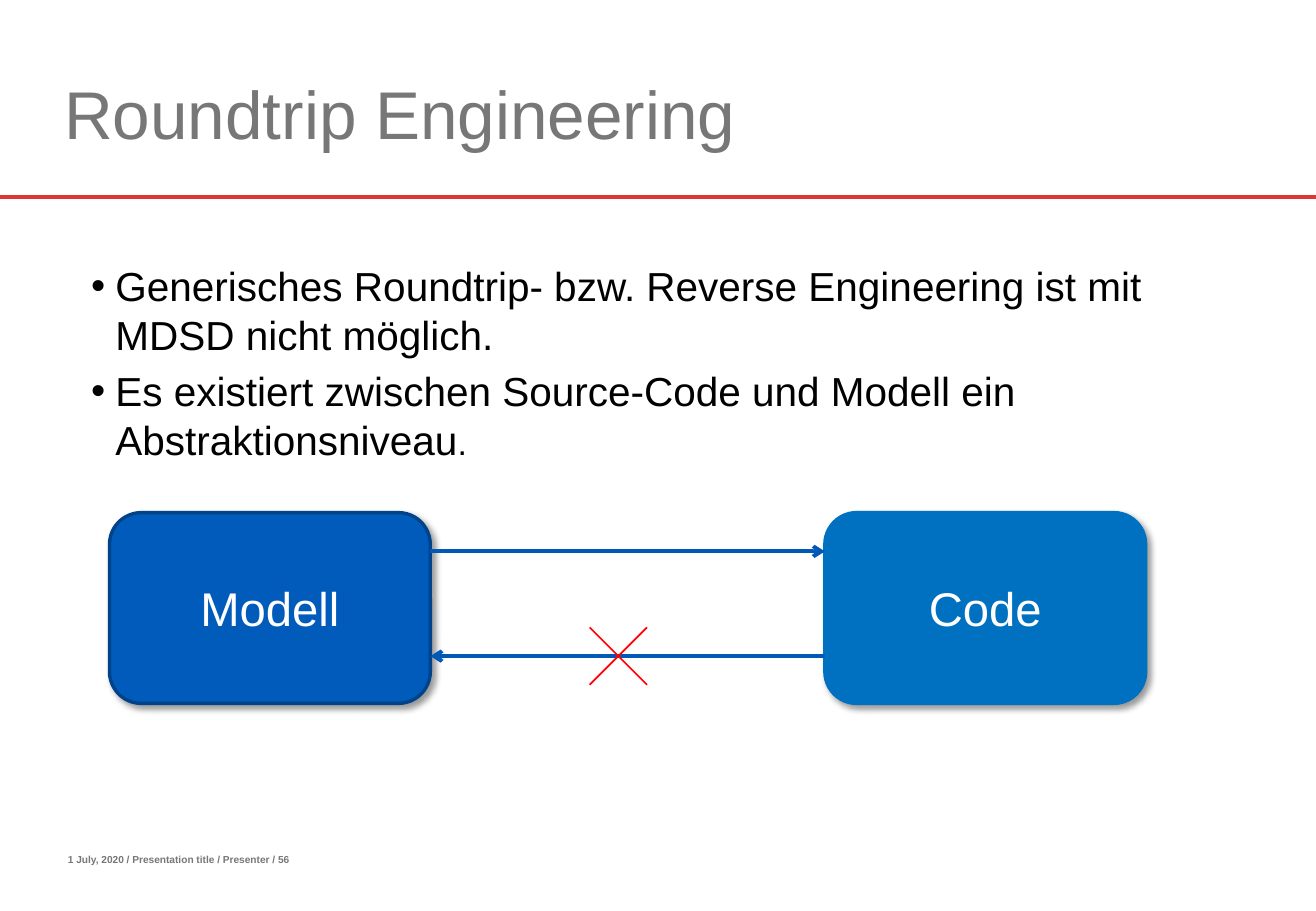
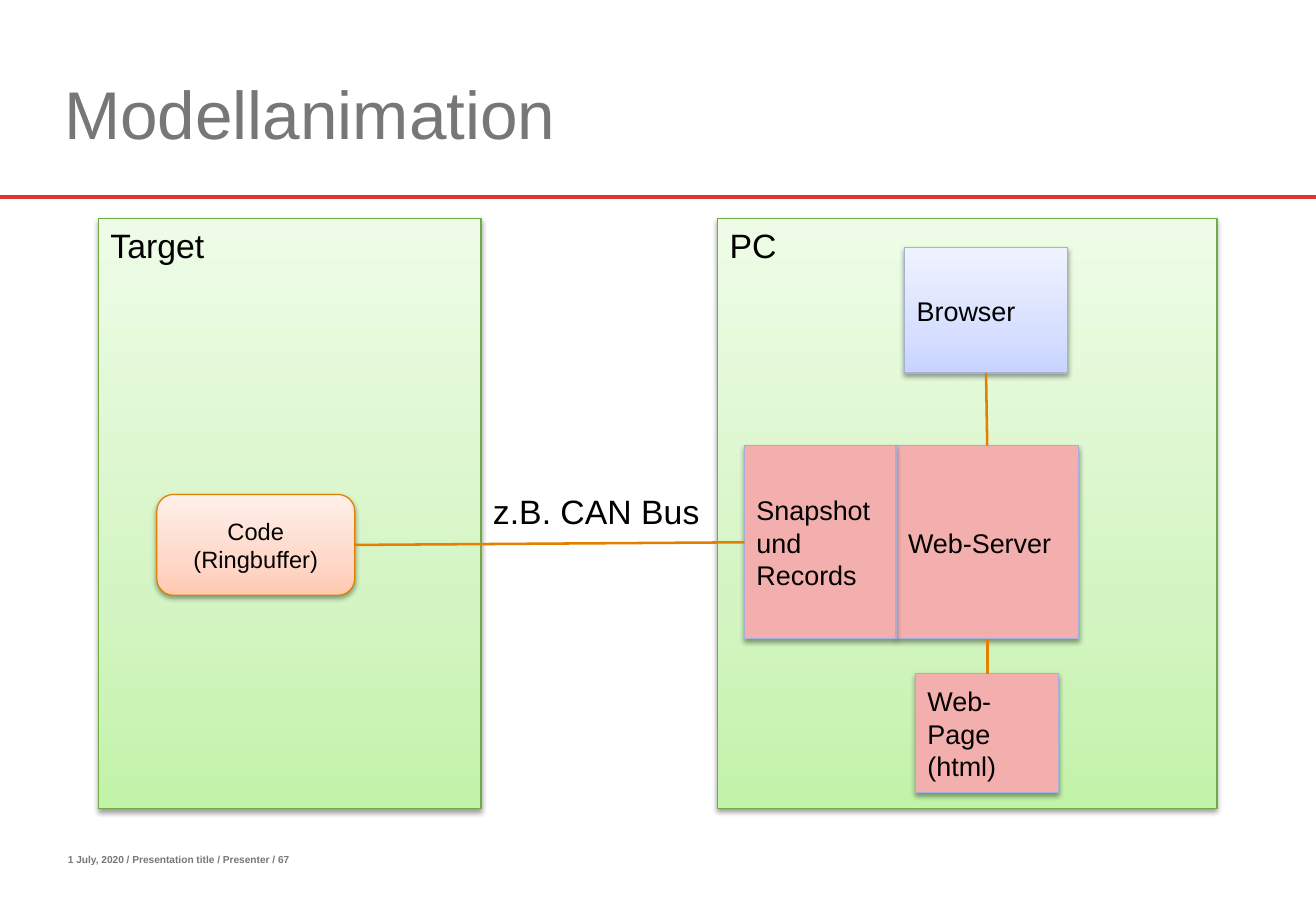
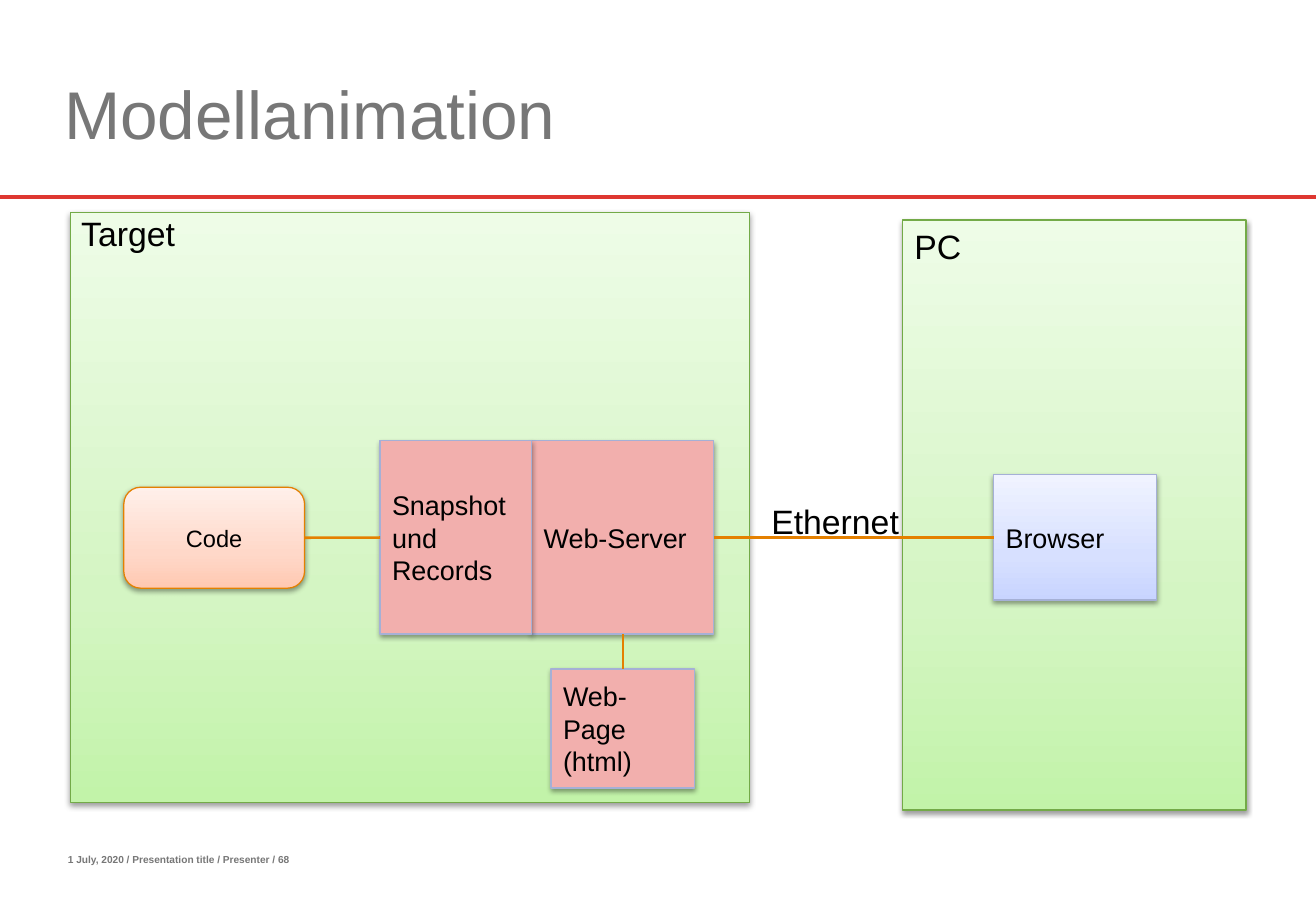
"""Build three slides on roundtrip engineering and model animation."""
from copy import deepcopy

from lxml.etree import SubElement
from pptx import Presentation
from pptx.dml.color import RGBColor
from pptx.enum.shapes import MSO_CONNECTOR, MSO_SHAPE
from pptx.enum.text import MSO_ANCHOR, MSO_AUTO_SIZE, PP_ALIGN
from pptx.oxml.ns import qn
from pptx.util import Cm, Pt

FONT = "Arial"
BLACK = RGBColor(0x00, 0x00, 0x00)
WHITE = RGBColor(0xFF, 0xFF, 0xFF)
GREY = RGBColor(0x77, 0x77, 0x77)
RULE_RED = RGBColor(0xDE, 0x37, 0x31)
CROSS_RED = RGBColor(0xFF, 0x00, 0x00)
MODEL_BLUE = RGBColor(0x00, 0x5B, 0xBB)
MODEL_EDGE = RGBColor(0x00, 0x43, 0x8A)
CODE_BLUE = RGBColor(0x00, 0x70, 0xC0)
ARROW_BLUE = RGBColor(0x00, 0x59, 0xB7)
ORANGE = RGBColor(0xE4, 0x80, 0x00)
PINK = RGBColor(0xF2, 0xAF, 0xAD)
LAVENDER = RGBColor(0xA5, 0xB0, 0xD6)
GREEN = RGBColor(0x73, 0xAA, 0x48)
GREEN_FADE = (RGBColor(0xC2, 0xF3, 0xA9), RGBColor(0xD4, 0xF5, 0xC3), RGBColor(0xEE, 0xFC, 0xE7))
BLUE_FADE = (RGBColor(0xC8, 0xD4, 0xFF), RGBColor(0xD7, 0xE0, 0xFF), RGBColor(0xF0, 0xF3, 0xFF))
ORANGE_FADE = (RGBColor(0xFF, 0xC9, 0xB2), RGBColor(0xFF, 0xD8, 0xC9), RGBColor(0xFF, 0xF0, 0xEA))
FADE_POSITIONS = (0, 0.35, 1)

STRONG_SHADOW = {"alpha": 40, "blur": 4, "distance": 3, "angle": 45}
SOFT_SHADOW = {"alpha": 38, "blur": 3.15, "distance": 1.57, "angle": 90}

SLIDE_WIDTH, SLIDE_HEIGHT = 27.52, 19.05
RULE_TOP = 4.12
PANEL_HEIGHT = 12.34
TITLE_AND_BODY, TITLE_ONLY = 1, 5
TOP, LEFT, BOTTOM, RIGHT = range(4)


def place(shape, left, top, width, height):
    """Move and size a shape, in centimetres."""
    shape.left, shape.top = Cm(left), Cm(top)
    shape.width, shape.height = Cm(width), Cm(height)


def format_text(text_frame, size, color, alignment=PP_ALIGN.LEFT, bold=False):
    """Give every paragraph and run of a text frame the same look."""
    text_frame.word_wrap = True
    text_frame.auto_size = MSO_AUTO_SIZE.NONE
    for paragraph in text_frame.paragraphs:
        paragraph.alignment = alignment
        for run in paragraph.runs:
            run.font.name = FONT
            run.font.size = Pt(size)
            run.font.bold = bold
            run.font.color.rgb = color


def add_label(slide, text, left, top, width, height, size=20, color=BLACK, bold=False):
    """Add a plain text box."""
    label = slide.shapes.add_textbox(Cm(left), Cm(top), Cm(width), Cm(height))
    label.text_frame.text = text
    format_text(label.text_frame, size, color, bold=bold)


def add_line(slide, start, end, color, width, arrow=False):
    """Add a straight line, with an arrowhead at its end on request."""
    points = [Cm(length) for length in (*start, *end)]
    connector = slide.shapes.add_connector(MSO_CONNECTOR.STRAIGHT, *points)
    connector.line.color.rgb = color
    connector.line.width = Pt(width)
    properties = connector.element.spPr
    if arrow:
        SubElement(properties.find(qn("a:ln")), qn("a:tailEnd"), type="arrow")
    SubElement(properties, qn("a:effectLst"))
    return connector


def add_link(slide, first, first_side, second, second_side):
    """Join the sides of two shapes with an orange line."""
    connector = add_line(slide, (0, 0), (0, 0), ORANGE, 1.5)
    connector.begin_connect(first, first_side)
    connector.end_connect(second, second_side)


def set_fade(shape, colors):
    """Fill a shape with a three-colour gradient that rises from the bottom."""
    fill = shape.fill
    fill.gradient()
    fill.gradient_angle = 90
    stop_list = shape.element.spPr.find(qn("a:gradFill")).find(qn("a:gsLst"))
    stop_list.insert(1, deepcopy(stop_list[0]))
    for stop, position, color in zip(fill.gradient_stops, FADE_POSITIONS, colors):
        stop.position = position
        stop.color.rgb = color


def set_shadow(shape, alpha, blur, distance, angle):
    """Give a shape a black outer shadow."""
    shape.shadow.inherit = False
    effects = shape.element.spPr.find(qn("a:effectLst"))
    shadow = SubElement(effects, qn("a:outerShdw"), blurRad=str(Pt(blur)), dist=str(Pt(distance)),
                        dir=str(angle * 60000), rotWithShape="0")
    color = SubElement(shadow, qn("a:srgbClr"), val=str(BLACK))
    SubElement(color, qn("a:alpha"), val=str(alpha * 1000))


def add_box(slide, kind, left, top, width, height, fill, edge, edge_width=0.75, shadow=SOFT_SHADOW):
    """Add a preset shape with a solid or faded fill, an outline and a shadow."""
    box = slide.shapes.add_shape(kind, Cm(left), Cm(top), Cm(width), Cm(height))
    if isinstance(fill, RGBColor):
        box.fill.solid()
        box.fill.fore_color.rgb = fill
    else:
        set_fade(box, fill)
    box.line.color.rgb = edge
    box.line.width = Pt(edge_width)
    set_shadow(box, **shadow)
    return box


def write_in(box, text, size, color=BLACK, alignment=PP_ALIGN.LEFT):
    """Write text into the middle of a box."""
    box.text_frame.text = text
    box.text_frame.vertical_anchor = MSO_ANCHOR.MIDDLE
    format_text(box.text_frame, size, color, alignment)


def add_panel(slide, left, top, width):
    """Add a green panel that stands for one machine."""
    add_box(slide, MSO_SHAPE.RECTANGLE, left, top, width, PANEL_HEIGHT, GREEN_FADE, GREEN)


def add_component(slide, text, left, top, width, height, fill=PINK):
    """Add a rectangular software component."""
    box = add_box(slide, MSO_SHAPE.RECTANGLE, left, top, width, height, fill, LAVENDER)
    write_in(box, text, 16)
    return box


def add_browser(slide, left, top):
    """Add the browser component."""
    return add_component(slide, "Browser", left, top, 3.4, 2.62, BLUE_FADE)


def add_code(slide, text, left, top, width):
    """Add the rounded orange code box."""
    box = add_box(slide, MSO_SHAPE.ROUNDED_RECTANGLE, left, top, width, 2.11, ORANGE_FADE, ORANGE)
    write_in(box, text, 14, alignment=PP_ALIGN.CENTER)
    return box


def add_server_group(slide, left, top):
    """Add the recorder, the web server beside it and the page below; return the first two."""
    recorder_width, server_width, page_width, height = 3.17, 3.81, 3, 4.04
    server_left = left + recorder_width
    page_left = server_left + (server_width - page_width) / 2
    server = add_component(slide, "Web-Server", server_left, top, server_width, height)
    recorder = add_component(slide, "Snapshot und Records", left, top, recorder_width, height)
    page = add_component(slide, "Web-Page (html)", page_left, top + 4.77, page_width, 2.49)
    add_link(slide, server, BOTTOM, page, TOP)
    return recorder, server


def add_slide(presentation, layout, title_text, number):
    """Add a slide with the shared title, red rule and footer."""
    slide = presentation.slides.add_slide(presentation.slide_layouts[layout])
    add_line(slide, (0, RULE_TOP), (SLIDE_WIDTH, RULE_TOP), RULE_RED, 2.25)
    add_label(slide, f"1 July, 2020 / Presentation title / Presenter / {number}",
              1.17, 17.73, 11.4, 0.51, size=6, color=GREY, bold=True)
    title = slide.shapes.title
    place(title, 1.09, 0.76, 20.4, 2.57)
    title.text_frame.text = title_text
    title.text_frame.vertical_anchor = MSO_ANCHOR.BOTTOM
    format_text(title.text_frame, 40, GREY)
    return slide


def fill_body(slide, lines):
    """Write the bullet list into the body placeholder, closing with a smaller full stop."""
    body = slide.placeholders[1]
    place(body, 1.14, 5.33, 25.6, 4.8)
    body.text_frame.text = "\n".join(lines)
    full_stop = body.text_frame.paragraphs[-1].add_run()
    full_stop.text = "."
    format_text(body.text_frame, 24, BLACK)
    full_stop.font.size = Pt(20)
    for paragraph in body.text_frame.paragraphs:
        properties = paragraph._p.get_or_add_pPr()
        properties.set("marL", str(Cm(1.02)))
        properties.set("indent", str(Cm(-0.51)))


def add_roundtrip_slide(presentation):
    """Show that the way from code back to the model is closed."""
    slide = add_slide(presentation, TITLE_AND_BODY, "Roundtrip Engineering", 56)
    fill_body(slide, (
        "Generisches Roundtrip- bzw. Reverse Engineering ist mit MDSD nicht möglich.",
        "Es existiert zwischen Source-Code und Modell ein Abstraktionsniveau",
    ))
    box_width, model_left, code_left = 6.71, 2.29, 17.25
    for text, left, fill, edge in (("Modell", model_left, MODEL_BLUE, MODEL_EDGE),
                                   ("Code", code_left, CODE_BLUE, CODE_BLUE)):
        box = add_box(slide, MSO_SHAPE.ROUNDED_RECTANGLE, left, 10.72, box_width, 3.99,
                      fill, edge, 2, STRONG_SHADOW)
        write_in(box, text, 28, WHITE, PP_ALIGN.CENTER)
    model_right = model_left + box_width
    forward, back = 11.53, 13.72
    add_line(slide, (model_right, forward), (code_left, forward), ARROW_BLUE, 2.25, arrow=True)
    add_line(slide, (code_left, back), (model_right, back), ARROW_BLUE, 2.25, arrow=True)
    cross_center, arm = 12.93, 0.6
    for rise in (arm, -arm):
        add_line(slide, (cross_center - arm, back + rise), (cross_center + arm, back - rise),
                 CROSS_RED, 1)


def add_bus_slide(presentation):
    """Show the web server on the PC, reached over a bus."""
    slide = add_slide(presentation, TITLE_ONLY, "Modellanimation", 67)
    add_panel(slide, 2.06, 4.57, 8)
    add_panel(slide, 15.01, 4.57, 10.44)
    add_label(slide, "Target", 2.06, 4.57, 2.74, 1.32)
    add_label(slide, "PC", 15.01, 4.57, 1.8, 1.32)
    browser = add_browser(slide, 18.92, 5.18)
    recorder, server = add_server_group(slide, 15.57, 9.32)
    code = add_code(slide, "Code\n(Ringbuffer)", 3.28, 10.34, 4.14)
    add_link(slide, browser, BOTTOM, server, TOP)
    add_link(slide, recorder, LEFT, code, RIGHT)
    add_label(slide, "z.B. CAN Bus", 10.06, 10.13, 4.93, 1.07)


def add_ethernet_slide(presentation):
    """Show the web server on the target, reached over Ethernet."""
    slide = add_slide(presentation, TITLE_ONLY, "Modellanimation", 68)
    add_panel(slide, 1.47, 4.45, 14.2)
    add_panel(slide, 18.87, 4.6, 7.19)
    add_label(slide, "Target", 1.45, 4.32, 3.3, 1.32)
    add_label(slide, "PC", 18.87, 4.6, 1.8, 1.32)
    recorder, server = add_server_group(slide, 7.95, 9.22)
    code = add_code(slide, "Code", 2.59, 10.19, 3.78)
    browser = add_browser(slide, 20.78, 9.93)
    add_link(slide, recorder, LEFT, code, RIGHT)
    add_link(slide, browser, LEFT, server, RIGHT)
    add_label(slide, "Ethernet", 15.88, 10.34, 3.4, 1)


def main():
    """Build and save the presentation."""
    presentation = Presentation()
    presentation.slide_width, presentation.slide_height = Cm(SLIDE_WIDTH), Cm(SLIDE_HEIGHT)
    add_roundtrip_slide(presentation)
    add_bus_slide(presentation)
    add_ethernet_slide(presentation)
    presentation.save("out.pptx")


if __name__ == "__main__":
    main()
